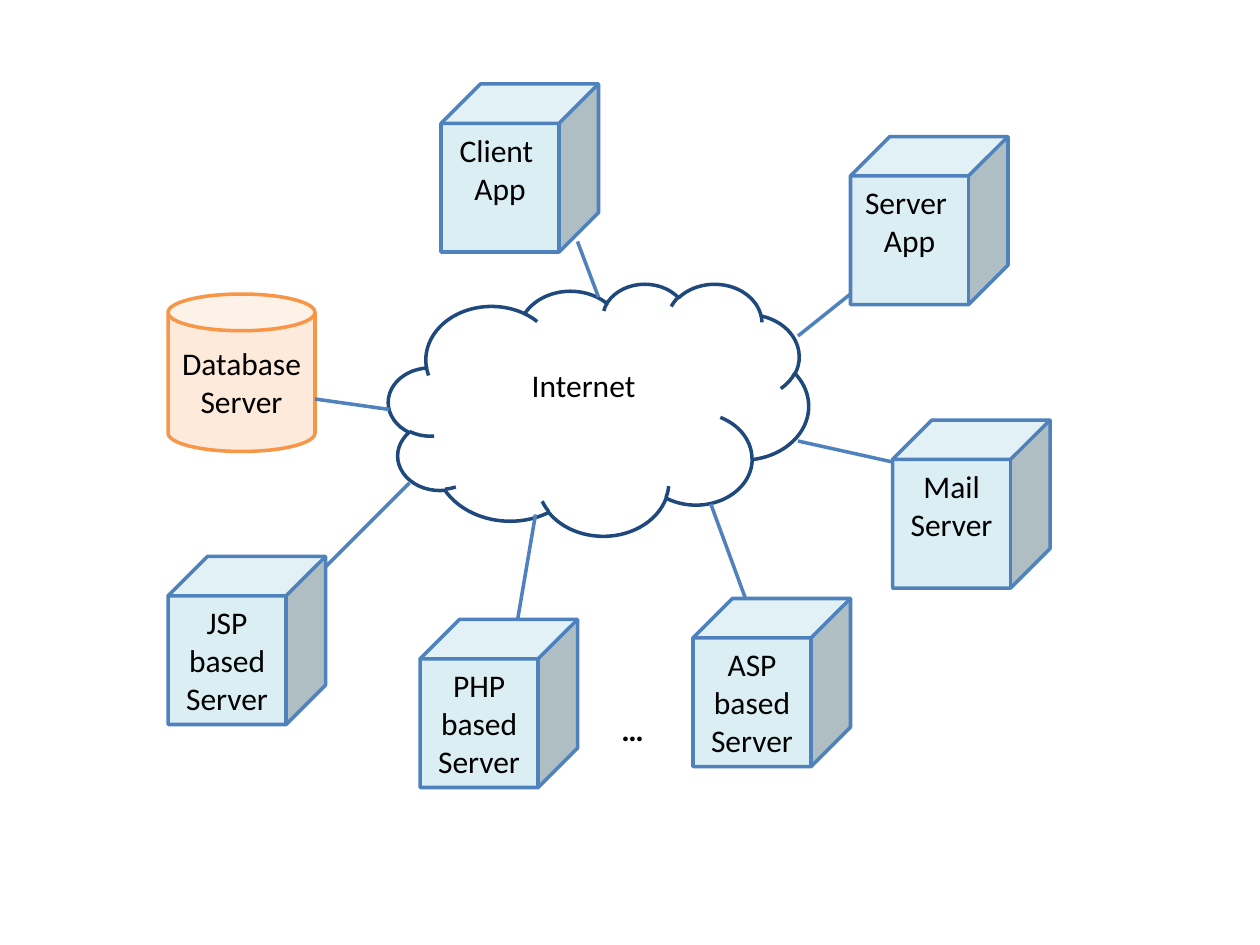
from dataclasses import dataclass

from lxml.etree import SubElement
from pptx import Presentation
from pptx.dml.color import RGBColor
from pptx.enum.shapes import MSO_CONNECTOR, MSO_SHAPE
from pptx.enum.text import MSO_ANCHOR, PP_ALIGN
from pptx.oxml.ns import qn
from pptx.slide import Slide
from pptx.text.text import TextFrame
from pptx.util import Inches, Length, Pt

COLORS = {
    "cloud": "FFFFFF",
    "cloud_line": "1F497D",
    "server": "DBEEF4",
    "server_line": "4F81BD",
    "database": "FDEADA",
    "database_line": "F79646",
    "text": "000000",
}
CELLS_PER_INCH = 12
LINE_WIDTH = Pt(2)
FONT_NAME = "Calibri"
FONT_SIZE = Pt(18)
LINE_HEIGHT = Inches(0.3)
INSET = Inches(0.05)
CUBE_SIZE = (15, 16)


@dataclass(frozen=True)
class Node:
    label: str
    column: float
    row: float
    columns: float = CUBE_SIZE[0]
    rows: float = CUBE_SIZE[1]
    kind: MSO_SHAPE = MSO_SHAPE.CUBE
    color: str = "server"
    lines_below: int = 0


@dataclass(frozen=True)
class Link:
    start: tuple[float, float]
    end: tuple[float, float]


NODES = [
    Node("Internet", 37, 27, 40, 24, MSO_SHAPE.CLOUD, "cloud", 1),
    Node("Server \nApp", 81, 13, lines_below=1),
    Node("Database\nServer", 16, 28, 14, 15, MSO_SHAPE.CAN, "database"),
    Node("Client \nApp", 42, 8, lines_below=1),
    Node("Mail Server", 85, 40, lines_below=1),
    Node("ASP based Server", 66, 57),
    Node("PHP based Server", 40, 59),
    Node("JSP based Server", 16, 53),
]
LINKS = [
    Link((31, 54), (39, 46)),
    Link((30, 38), (37.1, 39)),
    Link((49.3, 59), (51, 49)),
    Link((71, 57), (67.7, 48)),
    Link((85, 44), (76, 42)),
    Link((76, 32), (81, 28)),
    Link((57, 28.3), (55, 23)),
]


def grid(cells: float) -> Length:
    return Inches(cells / CELLS_PER_INCH)


def color(name: str) -> RGBColor:
    return RGBColor.from_string(COLORS[name])


def write(frame: TextFrame, text: str, align: PP_ALIGN, bold: bool = False) -> None:
    frame.word_wrap = True
    frame.text = text
    for para in frame.paragraphs:
        para.alignment = align
        for span in para.runs:
            span.font.name = FONT_NAME
            span.font.size = FONT_SIZE
            span.font.bold = bold
            span.font.color.rgb = color("text")


def draw_node(page: Slide, node: Node) -> None:
    box = page.shapes.add_shape(
        node.kind, grid(node.column), grid(node.row), grid(node.columns), grid(node.rows)
    )
    box.shadow.inherit = False
    box.fill.solid()
    box.fill.fore_color.rgb = color(node.color)
    box.line.color.rgb = color(f"{node.color}_line")
    box.line.width = LINE_WIDTH
    frame = box.text_frame
    frame.vertical_anchor = MSO_ANCHOR.MIDDLE
    frame.margin_bottom = INSET + node.lines_below * LINE_HEIGHT
    write(frame, node.label, PP_ALIGN.CENTER)


def draw_link(page: Slide, link: Link) -> None:
    points = [grid(cells) for cells in link.start + link.end]
    connector = page.shapes.add_connector(MSO_CONNECTOR.STRAIGHT, *points)
    connector.line.color.rgb = color("server_line")
    connector.line.width = LINE_WIDTH
    SubElement(connector._element.spPr, qn("a:effectLst"))


def draw_ellipsis(page: Slide) -> None:
    box = page.shapes.add_textbox(grid(58), grid(67), grid(6), grid(4.8))
    write(box.text_frame, "…", PP_ALIGN.LEFT, bold=True)


def main() -> None:
    deck = Presentation()
    deck.slide_width = Inches(10)
    deck.slide_height = Inches(7.5)
    page = deck.slides.add_slide(deck.slide_layouts[6])
    for node in NODES:
        draw_node(page, node)
    draw_ellipsis(page)
    for link in LINKS:
        draw_link(page, link)
    deck.save("out.pptx")


if __name__ == "__main__":
    main()
